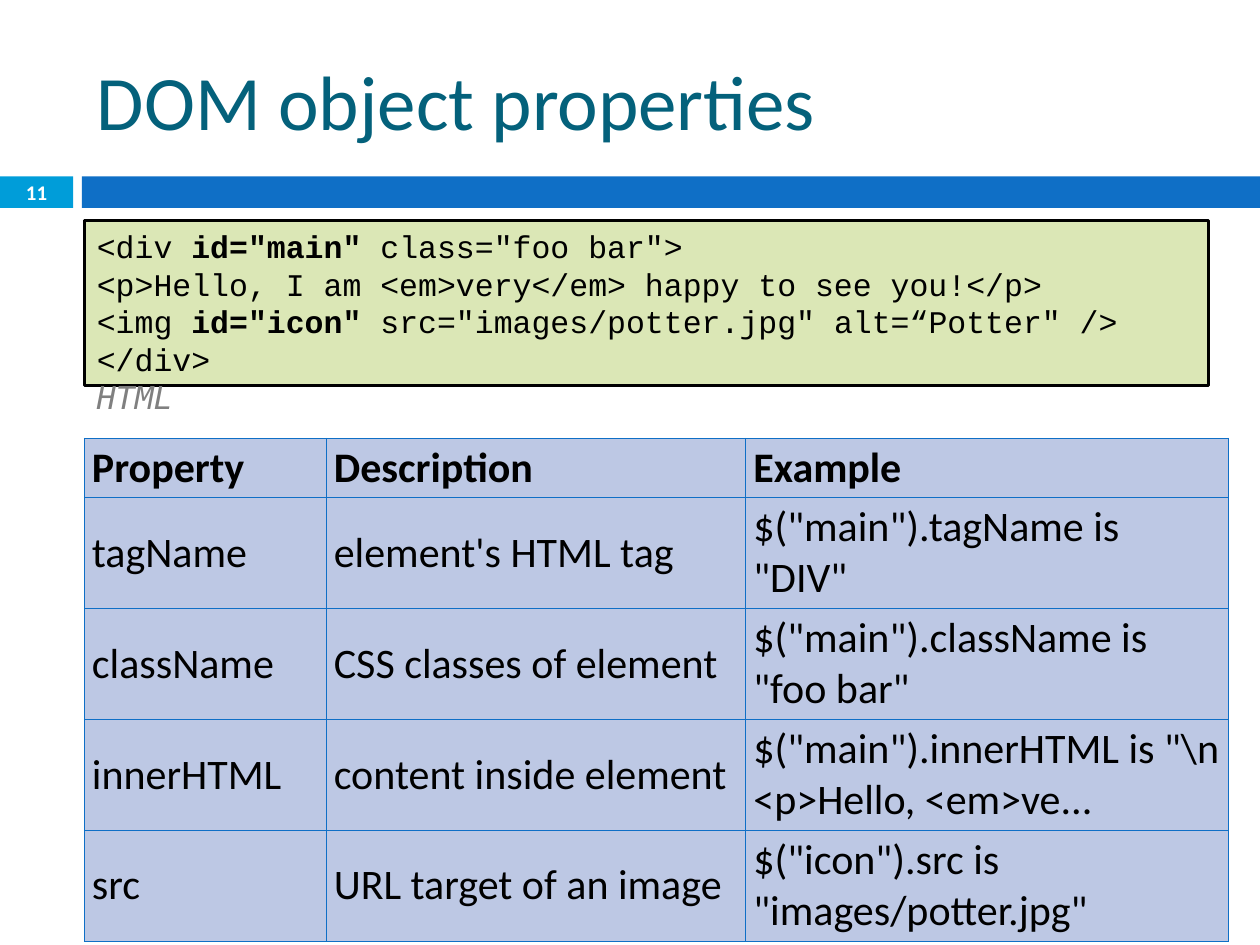
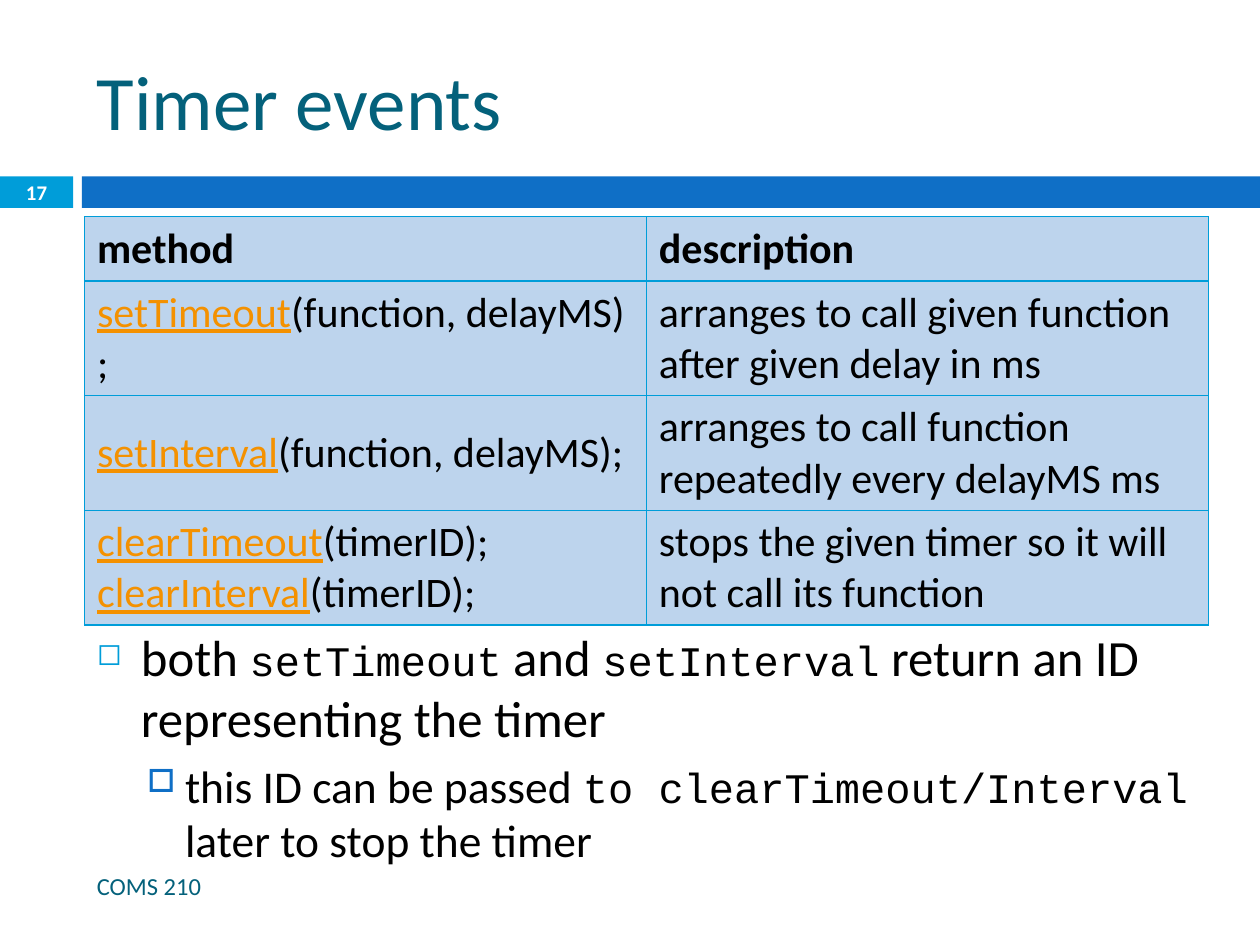
"""Build two lecture slides on DOM properties and timer events."""
from lxml.etree import SubElement
from pptx import Presentation
from pptx.dml.color import RGBColor
from pptx.enum.shapes import MSO_SHAPE as Shape
from pptx.enum.text import MSO_ANCHOR as Anchor, PP_ALIGN as Align
from pptx.oxml.ns import qn
from pptx.util import Inches, Pt

CYAN = RGBColor(0x00, 0x9D, 0xD9)
BLUE = RGBColor(0x0F, 0x6F, 0xC6)
TEAL = RGBColor(0x04, 0x61, 0x7B)
GREEN = RGBColor(0xDB, 0xE7, 0xB6)
LAVENDER = RGBColor(0xBD, 0xC8, 0xE4)
SKY = RGBColor(0xBD, 0xD4, 0xED)
ORANGE = RGBColor(0xF4, 0x91, 0x00)
GRAY = RGBColor(0x80, 0x80, 0x80)
BLACK = RGBColor(0, 0, 0)
WHITE = RGBColor(255, 255, 255)

LEFT, WIDTH = 0.67, 8.92
BODY = dict(name="Calibri", size=24, color=BLACK)
HEADER = dict(bold=True)
LINK = dict(color=ORANGE, underline=True)
CODE = dict(name="Courier New", size=18)
STRONG = dict(CODE, bold=True)
LANGUAGE = dict(name="DejaVu Sans Mono", size=18, color=GRAY, italic=True)
CALL = dict(name="Courier New", size=24)
POINT = dict(size=29)
SUBPOINT = dict(size=26)

MARKUP = [
    [("<div ", CODE), ('id="main" ', STRONG), ('class="foo bar">', CODE)],
    [("<p>Hello, I am <em>very</em> happy to see you!</p>", CODE)],
    [("<img ", CODE), ('id="icon" ', STRONG),
     ('src="images/potter.jpg" alt=“Potter" />', CODE)],
    [("</div>", CODE)],
    [("HTML", LANGUAGE)],
]
PROPERTIES = [
    ("Property", "Description", "Example"),
    ("tagName", "element's HTML tag", '$("main").tagName is "DIV"'),
    ("className", "CSS classes of element", '$("main").className is "foo bar"'),
    ("innerHTML", "content inside element",
     '$("main").innerHTML is "\\n <p>Hello, <em>ve...'),
    ("src", "URL target of an image", '$("icon").src is "images/potter.jpg"'),
]
TIMERS = [
    ("method", "description"),
    ([[("setTimeout", LINK), ("(function,\u00a0delayMS);", {})]],
     "arranges to call given function after given delay in ms"),
    ([[("setInterval", LINK), ("(function,\u00a0delayMS);", {})]],
     "arranges to call function repeatedly every delayMS ms"),
    ([[("clearTimeout", LINK), ("(timerID);", {})],
      [("clearInterval", LINK), ("(timerID);", {})]],
     "stops the given timer so it will not call its function"),
]
NOTES = [
    [("both ", POINT), ("setTimeout", CALL), (" and ", POINT),
     ("setInterval", CALL), (" return an ID representing the timer", POINT)],
    [("this ID can be passed ", SUBPOINT), ("to clearTimeout/Interval ", CALL),
     ("later to stop the timer", SUBPOINT)],
]
BULLETS = [
    dict(char="◻", color=CYAN, percent=60, margin=0.35, hang=0.35, before=7),
    dict(char="□", color=BLUE, percent=70, margin=0.7, hang=0.3, before=5.5),
]


def write(frame, lines, **base):
    """Fill a text frame with lines of (text, format) runs."""
    if isinstance(lines, str):
        lines = [[(lines, {})]]
    for index, line in enumerate(lines):
        paragraph = frame.add_paragraph() if index else frame.paragraphs[0]
        for text, changes in line:
            run = paragraph.add_run()
            run.text = text
            for key, value in {**BODY, **base, **changes}.items():
                if key == "color":
                    run.font.color.rgb = value
                else:
                    setattr(run.font, key, Pt(value) if key == "size" else value)


def add_text(slide, box, lines, anchor=Anchor.MIDDLE, **base):
    frame = slide.shapes.add_textbox(*map(Inches, box)).text_frame
    frame.word_wrap = True
    frame.vertical_anchor = anchor
    write(frame, lines, **base)
    return frame


def add_box(slide, box, color):
    shape = slide.shapes.add_shape(Shape.RECTANGLE, *map(Inches, box))
    shape.shadow.inherit = False
    shape.fill.solid()
    shape.fill.fore_color.rgb = color
    shape.line.fill.background()
    return shape


def add_slide(deck, title, number):
    slide = deck.slides.add_slide(deck.slide_layouts[6])
    add_box(slide, (0, 1.4, 0.58, 0.25), CYAN)
    add_box(slide, (0.65, 1.4, 9.35, 0.25), BLUE)
    add_text(slide, (LEFT, 0.25, WIDTH, 1.08), title, size=44, color=TEAL)
    label = add_text(slide, (0, 1.39, 0.58, 0.27), number,
                     size=11.9, color=WHITE, bold=True)
    label.paragraphs[0].alignment = Align.CENTER
    return slide


def add_borders(cell, color):
    properties = cell._tc.get_or_add_tcPr()
    for place, side in enumerate(("lnL", "lnR", "lnT", "lnB")):
        line = properties.makeelement(qn(f"a:{side}"), {"w": str(Pt(0.79))})
        properties.insert(place, line)
        SubElement(SubElement(line, qn("a:solidFill")), qn("a:srgbClr"), val=str(color))


def add_grid(slide, top, rows, widths, heights, fill, border, insets):
    size = len(rows), len(widths), LEFT, top, sum(widths), sum(heights)
    table = slide.shapes.add_table(*size[:2], *map(Inches, size[2:])).table
    table.first_row = table.horz_banding = False
    for column, width in zip(table.columns, widths):
        column.width = Inches(width)
    for index, (row, height) in enumerate(zip(rows, heights)):
        table.rows[index].height = Inches(height)
        for cell, content in zip(table.rows[index].cells, row):
            cell.fill.solid()
            cell.fill.fore_color.rgb = fill
            cell.vertical_anchor = Anchor.MIDDLE
            cell.margin_left = cell.margin_right = Inches(insets[0])
            cell.margin_top = cell.margin_bottom = Inches(insets[1])
            write(cell.text_frame, content, **({} if index else HEADER))
            add_borders(cell, border)


def add_bullet(paragraph, style):
    paragraph.space_before = Pt(style["before"])
    properties = paragraph._p.get_or_add_pPr()
    properties.set("marL", str(Inches(style["margin"])))
    properties.set("indent", str(-Inches(style["hang"])))
    color = SubElement(properties, qn("a:buClr"))
    SubElement(color, qn("a:srgbClr"), val=str(style["color"]))
    SubElement(properties, qn("a:buSzPct"), val=str(style["percent"] * 1000))
    SubElement(properties, qn("a:buChar"), char=style["char"])


def build_properties(deck):
    slide = add_slide(deck, "DOM object properties", "11")
    add_grid(slide, 3.48, PROPERTIES, (1.92, 3.33, 3.83), [0.47] + [0.88] * 4,
             LAVENDER, BLUE, (0.06, 0.03))
    markup = add_box(slide, (LEFT, 1.75, WIDTH, 1.31), GREEN)
    markup.line.color.rgb = BLACK
    markup.line.width = Pt(1.5)
    markup.text_frame.word_wrap = True
    markup.text_frame.vertical_anchor = Anchor.TOP
    write(markup.text_frame, MARKUP)
    for paragraph in markup.text_frame.paragraphs:
        paragraph.alignment = Align.LEFT


def build_timers(deck):
    slide = add_slide(deck, "Timer events", "17")
    add_text(slide, (LEFT, 6.83, 5.93, 0.4), "COMS 210", size=14, color=TEAL)
    notes = add_text(slide, (LEFT, 4.92, WIDTH, 1.33), NOTES, Anchor.TOP)
    for paragraph, style in zip(notes.paragraphs, BULLETS):
        add_bullet(paragraph, style)
    notes.paragraphs[1].level = 1
    add_grid(slide, 1.72, TIMERS, [WIDTH / 2] * 2, [0.51] + [0.91] * 3,
             SKY, CYAN, (0.1, 0.05))


deck = Presentation()
deck.slide_width, deck.slide_height = Inches(10), Inches(7.5)
build_properties(deck)
build_timers(deck)
deck.save("out.pptx")
